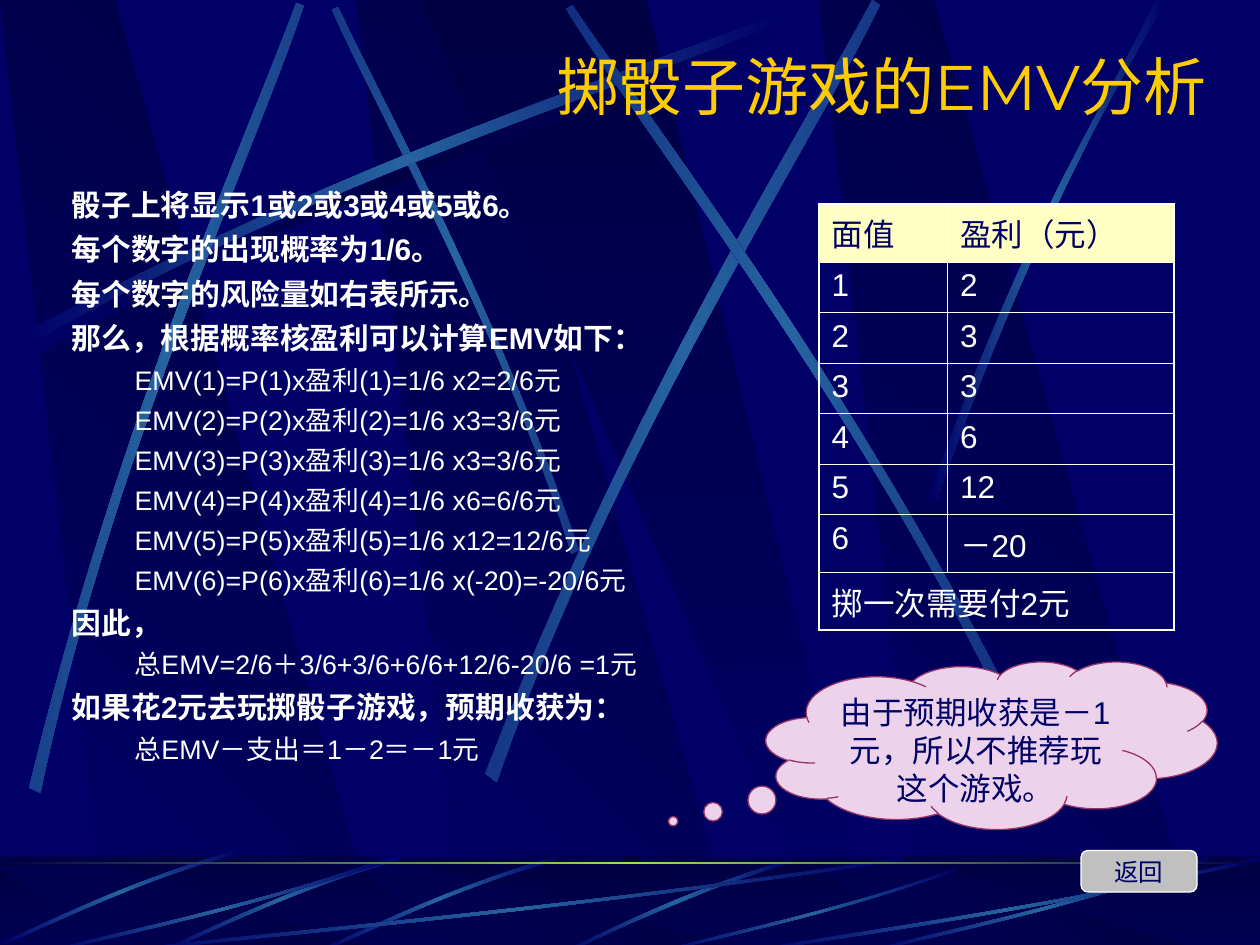
import math
from lxml import etree
from pptx import Presentation, util as u
from pptx.dml.color import RGBColor
from pptx.enum import shapes, text
from pptx.oxml import ns

Inches, Pt = u.Inches, u.Pt
rgb = RGBColor.from_string
NIGHT, NAVY, BEAM, WHITE = "000044", "000066", "2663A0", "FFFFFF"

prs = Presentation()
prs.slide_width, prs.slide_height = Inches(10), Inches(7.5)
slide = prs.slides.add_slide(prs.slide_layouts[6])
slide.background.fill.solid()
slide.background.fill.fore_color.rgb = rgb(NAVY)


def paint(shape, colours, angle=0, line=None):
    """Fill with one colour, or with evenly spaced gradient stops at a clockwise angle."""
    shape.shadow.inherit = False
    if line:
        shape.line.color.rgb, shape.line.width = rgb(line), Pt(0.75)
    else:
        shape.line.fill.background()
    if len(colours) == 1:
        shape.fill.solid()
        shape.fill.fore_color.rgb = rgb(colours[0])
        return
    shape.fill.gradient()
    gradient = shape._element.spPr.find(ns.qn("a:gradFill"))
    gradient.set("rotWithShape", "0")
    stops = gradient.find(ns.qn("a:gsLst"))
    for old in list(stops):
        stops.remove(old)
    for i, colour in enumerate(colours):
        stop = etree.SubElement(stops, ns.qn("a:gs"), pos=str(100000 * i // (len(colours) - 1)))
        etree.SubElement(stop, ns.qn("a:srgbClr"), val=colour)
    gradient.find(ns.qn("a:lin")).set("ang", str(angle * 60000))


def outline(points, curved=False):
    """Close the points into a polygon, or eight points into a ribbon with two cubic edges."""
    corners = [(Inches(x), Inches(y)) for x, y in points]
    builder = slide.shapes.build_freeform(*corners[0], scale=1.0)
    builder.add_line_segments(corners[1:], close=True)
    shape = builder.convert_to_shape()
    if curved:
        segments = list(shape._element.spPr.iter(ns.qn("a:lnTo")))
        for edge in (segments[:3], segments[4:7]):
            cubic = etree.Element(ns.qn("a:cubicBezTo"))
            edge[0].addprevious(cubic)
            for segment in edge:
                cubic.append(segment[0])
                segment.getparent().remove(segment)
    return shape


# Each ribbon: two cubic edges of four points, then rotation and its centre
upper_ribbons = [
    ([(0.2, 2.75), (2.84, 1.34), (5.24, 0.59), (6.26, 0.18),
      (6.29, 0.24), (5.28, 0.69), (2.54, 1.51), (0.23, 2.85)], 0, (0, 0)),
    ([(4.6, 4.36), (3.91, 2.34), (3.02, 0.77), (2.69, 0.05),
      (2.64, 0.07), (2.95, 0.79), (3.98, 2.58), (4.54, 4.39)], 45, (3.62, 2.23)),
    ([(0.14, 2.67), (2.78, 1.25), (5.18, 0.51), (6.2, 0.1),
      (6.23, 0.16), (5.22, 0.61), (2.48, 1.43), (0.17, 2.77)], 0, (0, 0)),
    ([(0.23, 6.25), (0.93, 3.34), (1.97, 1.05), (2.35, 0.02),
      (2.41, 0.04), (2.07, 1.08), (0.86, 3.68), (0.32, 6.29)], 311.7, (1.33, 3.16)),
    ([(3.85, 6.14), (4.98, 3.2), (6.38, 1.02), (6.92, 0),
      (6.98, 0.04), (6.49, 1.08), (4.86, 3.55), (3.94, 6.21)], 321.6, (5.43, 3.11)),
    ([(8.06, 5.6), (6.7, 2.93), (5.16, 0.95), (4.55, 0.04),
      (4.5, 0.07), (5.07, 1.01), (6.85, 3.25), (7.99, 5.66)], 34.8, (6.27, 2.86)),
    ([(7.38, 3.93), (8.14, 1.73), (8.88, 0.66), (9.17, 0),
      (9.27, 0), (8.36, 1.45), (7.69, 3.22), (7.44, 3.97)], 0, (0, 0)),
]
lower_ribbons = [
    ([(6.27, 6.82), (5.37, 7.09), (4.77, 7.42), (4.48, 7.54),
      (4.53, 7.55), (4.9, 7.37), (5.71, 7), (6.28, 6.85)], 0, (0, 0))]
for x, y in ((2.56, 0), (1.31, 0), (0.02, -0.05)):
    edge = [(1.86, 6.8), (0.99, 7.05), (0.31, 7.4), (0, 7.53),
            (0.01, 7.55), (0.32, 7.43), (1.09, 7.03), (1.88, 6.83)]
    lower_ribbons.append(([(x + a, y + b) for a, b in edge], 314.9, (x + 0.94, y + 7.17)))
for x, y, width, height in ((1, 6.8, 6.17, 0.75), (0.42, 6.8, 2.67, 0.75),
                            (5.27, 6.89, 2.31, 0.66), (6.92, 6.8, 2.67, 0.75),
                            (6, 6.8, 4, 0.75)):
    edge = [(1, 0.04), (0.57, 0.57), (0.17, 0.85), (0.01, 1),
            (0, 0.98), (0.17, 0.81), (0.62, 0.5), (1, 0)]
    lower_ribbons.append(([(x + width * a, y + height * b) for a, b in edge], 0, (0, 0)))

for top, bottom, ribbons in ((0, 7.52, upper_ribbons), (6.88, 7.54, lower_ribbons)):
    if top:
        floor = slide.shapes.add_shape(shapes.MSO_SHAPE.RECTANGLE, 0, Inches(6.8), Inches(10), Inches(0.75))
        paint(floor, [NIGHT, NAVY], 90)
    for x in (2.83, 0, 6.5):
        panel = outline([(x + 0.86, bottom), (x + 3.02, bottom), (x + 0.91, top), (x, top)])
        paint(panel, [NIGHT, NAVY], 135)
    paint(outline([(3.33, top), (6.58, bottom), (6.94, bottom), (5.13, top)]), [NIGHT, NAVY], 90)
    if top:
        veil = slide.shapes.add_shape(shapes.MSO_SHAPE.RECTANGLE, 0, Inches(6.79), Inches(10), Inches(0.75))
        paint(veil, [NIGHT])
        colour = veil._element.spPr.find(".//" + ns.qn("a:srgbClr"))
        etree.SubElement(colour, ns.qn("a:alpha"), val="50000")
    for i, (edges, turn, (cx, cy)) in enumerate(ribbons):
        cos, sin = math.cos(math.radians(turn)), math.sin(math.radians(turn))
        unturned = [(cx + (x - cx) * cos + (y - cy) * sin, cy - (x - cx) * sin + (y - cy) * cos)
                    for x, y in edges]
        ribbon = outline(unturned, curved=True)
        ribbon.rotation = turn
        shade = NIGHT if not top and i == 0 else BEAM
        paint(ribbon, [NAVY, shade, NAVY], 180)

horizon = slide.shapes.add_shape(shapes.MSO_SHAPE.RECTANGLE, 0, Inches(6.84), Inches(10), Inches(0.02))
paint(horizon, [NIGHT, "9CE157", NIGHT], 180)

title = slide.shapes.add_textbox(Inches(1.17), Inches(0.33), Inches(8.5), Inches(0.7)).text_frame
title.word_wrap = True
title.vertical_anchor = text.MSO_ANCHOR.MIDDLE
title.text = "掷骰子游戏的EMV分析"
heading = title.paragraphs[0]
heading.alignment = text.PP_ALIGN.RIGHT
heading.runs[0].font.size, heading.runs[0].font.name = Pt(36), "Montserrat"
heading.runs[0].font.color.rgb = rgb("FFCC00")

gains = ["2", "3", "3", "6", "12", "-20"]
body_lines = [(0, "骰子上将显示1或2或3或4或5或6。"), (0, "每个数字的出现概率为1/6。"),
              (0, "每个数字的风险量如右表所示。"), (0, "那么，根据概率核盈利可以计算EMV如下：")]
for face, gain in enumerate(gains, 1):
    factor = f"({gain})" if gain.startswith("-") else gain
    body_lines.append((1, f"EMV({face})=P({face})x盈利({face})=1/6 x{factor}={gain}/6元"))
body_lines += [(0, "因此，"), (1, "总EMV=2/6＋3/6+3/6+6/6+12/6-20/6 =1元"),
               (0, "如果花2元去玩掷骰子游戏，预期收获为："), (1, "总EMV－支出＝1－2＝－1元")]

body = slide.shapes.add_textbox(Inches(0.47), Inches(1.43), Inches(5.63), Inches(4.91)).text_frame
body.word_wrap = True
body.text = "\n".join(line for _, line in body_lines)
for paragraph, (level, _) in zip(body.paragraphs, body_lines):
    paragraph.level = level
    margin, hanging, size, before = ((0.38, 0.38, 17, 5), (0.81, 0.31, 15.3, 4.5))[level]
    paragraph._p.get_or_add_pPr().set("marL", str(Inches(margin)))
    paragraph._p.get_or_add_pPr().set("indent", str(-Inches(hanging)))
    paragraph.space_before = Pt(before)
    for run in paragraph.runs:
        run.font.size, run.font.name, run.font.bold = Pt(size), "Arial", level == 0
        run.font.color.rgb = rgb(WHITE)

rows = [("面值", "盈利（元）")]
rows += [(str(face), gain.replace("-", "－")) for face, gain in enumerate(gains, 1)]
rows.append(("掷一次需要付2元", ""))
payoffs = slide.shapes.add_table(8, 2, Inches(6.5), Inches(1.62), Inches(2.82), Inches(3.4)).table
payoffs.first_row = payoffs.horz_banding = False
payoffs.columns[0].width, payoffs.columns[1].width = Inches(1.02), Inches(1.8)
payoffs.cell(7, 0).merge(payoffs.cell(7, 1))
for r, row in enumerate(rows):
    payoffs.rows[r].height = Inches(0.46 if r in (0, 6, 7) else 0.4)
    for c, value in enumerate(row):
        cell = payoffs.cell(r, c)
        outer = {"L": c == 0, "R": c == 1 or r == 7, "T": r == 0, "B": r == 7}
        for side, is_outer in outer.items():
            border = etree.SubElement(cell._tc.get_or_add_tcPr(), ns.qn(f"a:ln{side}"),
                                      w=str(Pt(1.08 if is_outer else 0.45)))
            solid = etree.SubElement(border, ns.qn("a:solidFill"))
            etree.SubElement(solid, ns.qn("a:srgbClr"), val=WHITE)
        if r == 0:
            cell.fill.solid()
            cell.fill.fore_color.rgb = rgb("FFFFC3")
        else:
            cell.fill.background()
        if not value:
            continue
        cell.text_frame.text = value
        entry = cell.text_frame.paragraphs[0]
        entry.space_before = Pt(4.5)
        font = entry.runs[0].font
        font.size, font.name = Pt(18), "Arial"
        font.color.rgb = rgb(WHITE if r else NAVY)

advice = slide.shapes.add_shape(shapes.MSO_SHAPE.CLOUD_CALLOUT, Inches(6.08), Inches(5.25), Inches(3.58), Inches(1.33))
advice.adjustments[0], advice.adjustments[1] = -0.706, 0.454
paint(advice, ["ECD2EA"], line="993366")
back = slide.shapes.add_shape(shapes.MSO_SHAPE.ROUNDED_RECTANGLE, Inches(8.58), Inches(6.75), Inches(0.92), Inches(0.33))
paint(back, ["C0C0C0"], line=WHITE)
for shape, words, size, before, anchor in (
        (advice, "由于预期收获是－1元，所以不推荐玩这个游戏。", 18, 4.5, text.MSO_ANCHOR.TOP),
        (back, "返回", 14, 3.5, text.MSO_ANCHOR.MIDDLE)):
    frame = shape.text_frame
    frame.text, frame.vertical_anchor = words, anchor
    frame.word_wrap = shape is advice
    label = frame.paragraphs[0]
    label.alignment, label.space_before = text.PP_ALIGN.CENTER, Pt(before)
    font = label.runs[0].font
    font.size, font.name = Pt(size), "Arial"
    font.color.rgb = rgb(NAVY)

prs.save("out.pptx")
